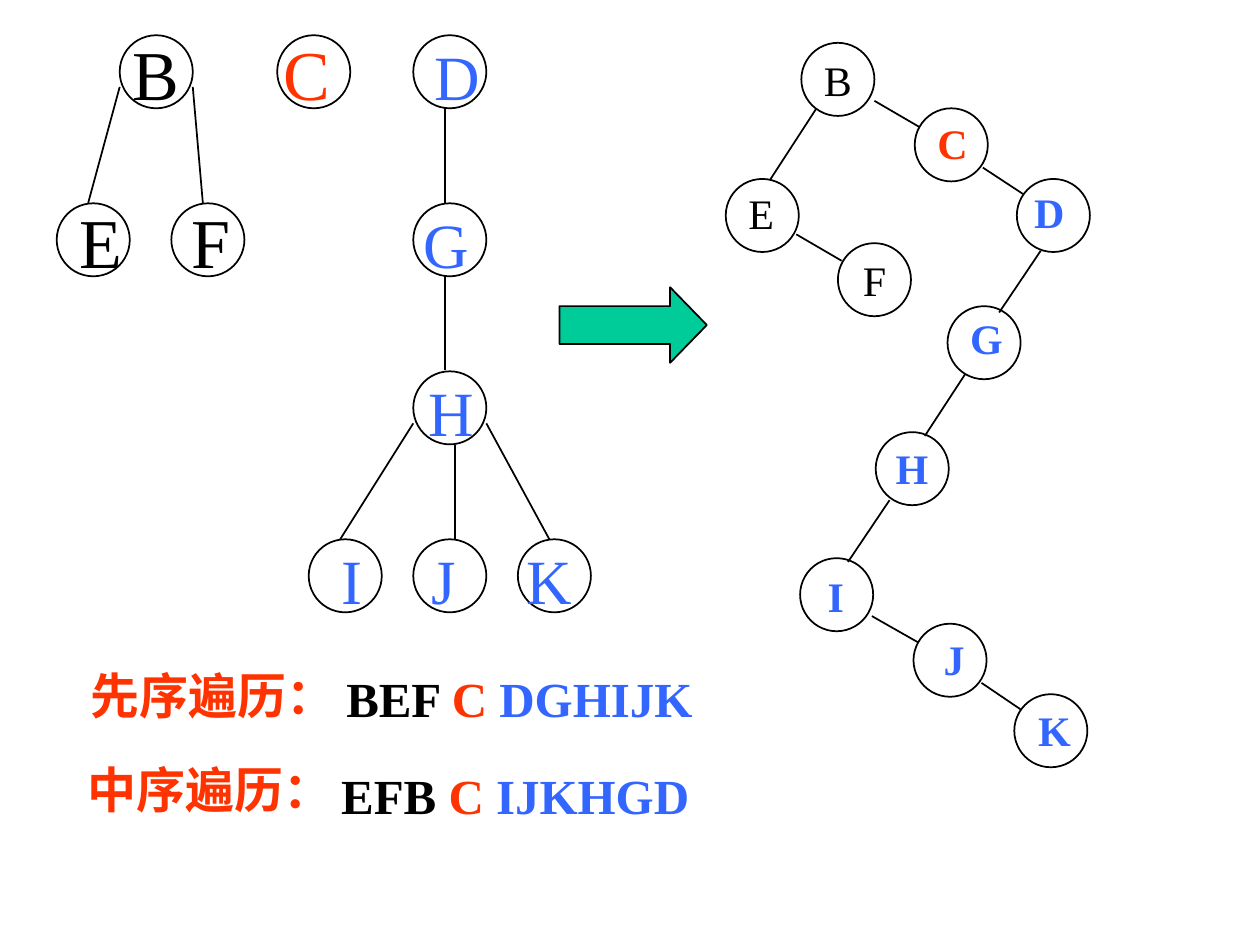
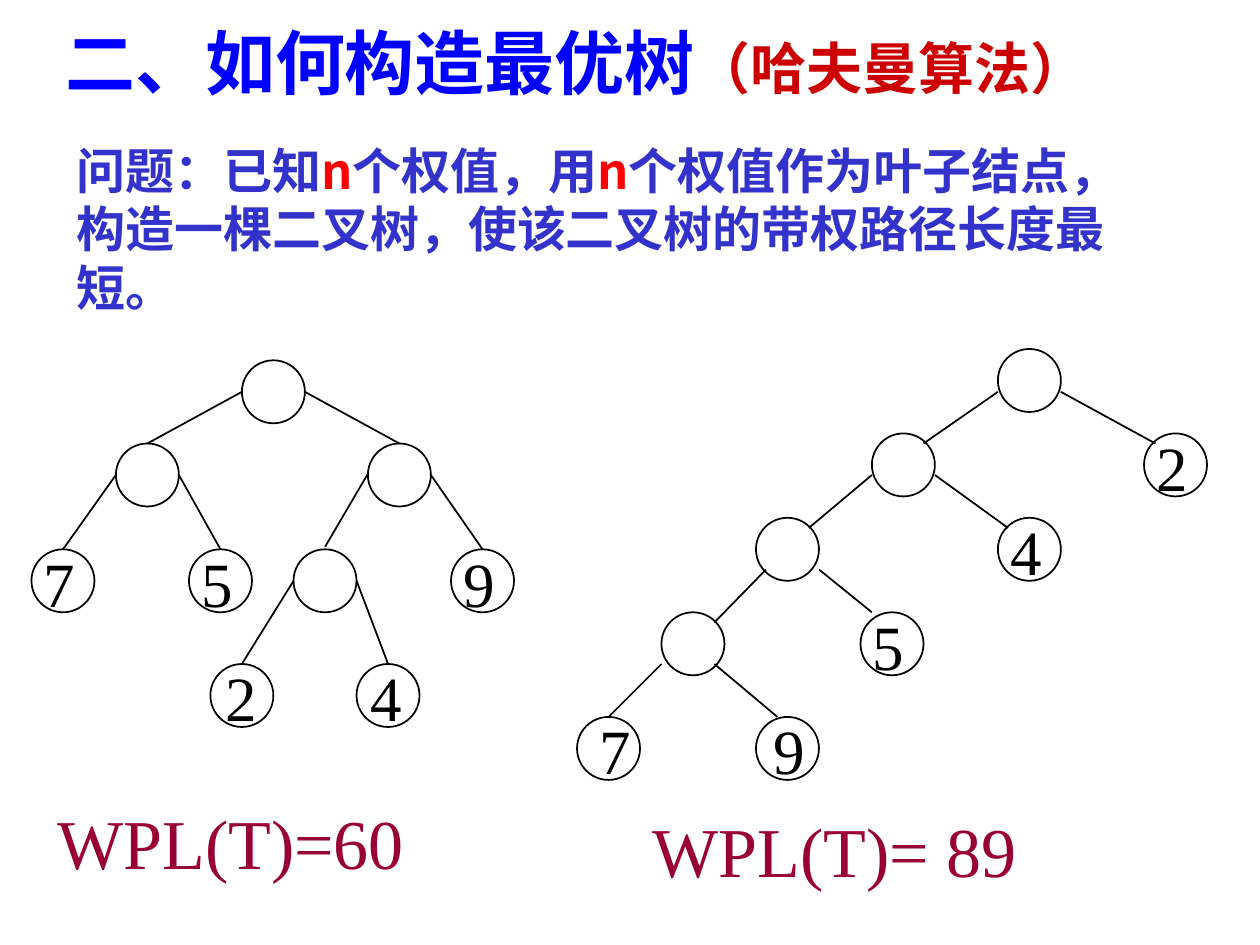
from pptx import Presentation
from pptx.dml.color import RGBColor
from pptx.enum.shapes import MSO_CONNECTOR as CONN, MSO_SHAPE as SHAPE
from pptx.oxml.ns import qn
from pptx.util import Inches, Pt
from lxml.etree import SubElement

LATIN, CJK = "Times New Roman", "Noto Sans CJK SC"
BLACK, RED, BLUE, GREEN = "000000", "FF3300", "3366FF", "00CC99"
TITLE_BLUE, TITLE_RED = "0000FF", "CC0000"
BODY_BLUE, BODY_RED, WINE = "3333CC", "FF0000", "990033"
CJK_LINE = 1.19  # line pitch of Chinese text, in font sizes


def rgb(value):
    return RGBColor.from_string(value)


def add_run(p, text, size=24, color=BLACK, bold=False, font=LATIN):
    r = p.add_run()
    r.text = text
    f = r.font
    f.size, f.bold, f.name = Pt(size), bold, font
    f.color.rgb = rgb(color)
    SubElement(f._element, qn("a:ea"), typeface=CJK)


class Deck:
    def __init__(self):
        self.prs = Presentation()
        self.prs.slide_width, self.prs.slide_height = Inches(10), Inches(7.5)
        self.s = None

    def new_slide(self):
        self.s = self.prs.slides.add_slide(self.prs.slide_layouts[6])

    def shape(self, kind, x, y, w, h, fill=None):
        sp = self.s.shapes.add_shape(kind, Inches(x), Inches(y), Inches(w), Inches(h))
        sp.shadow.inherit = False
        sp.line.color.rgb, sp.line.width = rgb(BLACK), Pt(1)
        if fill:
            sp.fill.solid()
            sp.fill.fore_color.rgb = rgb(fill)
        else:
            sp.fill.background()
        return sp

    def node(self, x, y, size):
        self.shape(SHAPE.OVAL, x, y, size, size)

    def edges(self, ends):
        for end in ends:
            line = self.s.shapes.add_connector(CONN.STRAIGHT, *map(Inches, end))
            line.line.color.rgb, line.line.width = rgb(BLACK), Pt(1)
            SubElement(line._element.spPr, qn("a:effectLst"))

    def text(self, x, y, w, h, runs, line=None, **fmt):
        """Each run is (text, format); fmt applies to all of them."""
        box = self.s.shapes.add_textbox(Inches(x), Inches(y), Inches(w), Inches(h))
        tf = box.text_frame
        tf.word_wrap = True
        p = tf.paragraphs[0]
        if line:
            p.line_spacing = Pt(line)
            p._p.get_or_add_pPr().set("hangingPunct", "0")
        for words, own in runs:
            add_run(p, words, **{**fmt, **own})

    def label(self, x, y, words, **fmt):
        self.text(x, y, 0.65, 0.7, [(words, {})], **fmt)


def letter_color(letter):
    return {"B": BLACK, "E": BLACK, "F": BLACK, "C": RED}.get(letter, BLUE)


def forest_slide(deck):
    deck.new_slide()
    size = 0.58

    # Forest: rows of (letter, node left, letter left)
    rows = [
        [("B", 0.95, 0.95), ("C", 2.2, 2.15), ("D", 3.28, 3.35)],
        [("E", 0.45, 0.53), ("F", 1.36, 1.42), ("G", 3.28, 3.26)],
        [("H", 3.28, 3.3)],
        [("I", 2.45, 2.61), ("J", 3.28, 3.33), ("K", 4.11, 4.08)],
    ]
    for i, row in enumerate(rows):
        top = 0.28 + i * 4 / 3
        for letter, x, letter_x in row:
            color = letter_color(letter)
            pt = 36 if color == BLUE else 40
            deck.node(x, top, size)
            deck.label(letter_x, top + 0.43 - 0.93 * pt / 72, letter, size=pt, color=color)
    deck.edges([
        (0.95, 0.69, 0.7, 1.61), (1.53, 0.69, 1.61, 1.61),
        (3.53, 0.86, 3.53, 1.61), (3.53, 2.19, 3.53, 2.94),
        (3.61, 3.53, 3.61, 4.28), (3.28, 3.36, 2.7, 4.28),
        (3.86, 3.36, 4.36, 4.28),
    ])

    # Binary tree: letter, node corner, letter corner
    for letter, x, y, letter_x, letter_y in [
        ("B", 6.36, 0.34, 6.44, 0.38), ("C", 7.26, 0.86, 7.34, 0.88),
        ("D", 8.07, 1.42, 8.11, 1.43), ("E", 5.76, 1.42, 5.84, 1.44),
        ("F", 6.65, 1.93, 6.75, 1.97), ("G", 7.52, 2.43, 7.6, 2.43),
        ("H", 6.95, 3.43, 7.01, 3.46), ("I", 6.35, 4.43, 6.47, 4.48),
        ("J", 7.25, 4.95, 7.39, 4.98), ("K", 8.05, 5.51, 8.14, 5.54),
    ]:
        color = letter_color(letter)
        deck.node(x, y, size)
        deck.label(letter_x, letter_y, letter, color=color, bold=color != BLACK)
    deck.edges([
        (6.48, 0.86, 6.11, 1.43), (6.32, 1.86, 6.68, 2.07),
        (6.94, 0.8, 7.3, 1.01), (7.8, 1.33, 8.12, 1.54),
        (8.26, 1.99, 7.93, 2.48), (7.66, 2.97, 7.34, 3.46),
        (7.06, 3.97, 6.73, 4.46), (6.92, 4.89, 7.29, 5.1),
        (7.79, 5.42, 8.1, 5.63),
    ])

    # Traversals
    for name, x, y, order_x, order_y, first, last in [
        ("先序遍历：", 0.62, 5.24, 2.65, 5.26, "BEF ", "DGHIJK"),
        ("中序遍历：", 0.6, 5.98, 2.61, 6.03, "EFB ", "IJKHGD"),
    ]:
        deck.text(x, y, 2.4, 0.57, [(name, {})], line=28 * CJK_LINE,
                  size=28, color=RED, bold=True)
        order = [(first, {}), ("C ", {"color": RED}), (last, {"color": BLUE})]
        deck.text(order_x, order_y, 3.5, 0.57, order, size=28, bold=True)

    # Conversion arrow
    arrow = deck.shape(SHAPE.RIGHT_ARROW, 4.44, 2.28, 1.17, 0.6, GREEN)
    arrow.adjustments[1] = 0.486


def huffman_slide(deck):
    deck.new_slide()

    # Title and problem
    deck.text(0.42, 0.11, 9, 1.17, [
        ("二、如何构造最优树", {"color": TITLE_BLUE}),
        ("（哈夫曼算法）", {"size": 32, "color": TITLE_RED}),
    ], line=40 * CJK_LINE, size=40, bold=True)
    n = ("n", {"color": BODY_RED})
    deck.text(0.51, 1.07, 8.82, 1.5, [
        ("问题：已知", {}), n, ("个权值，用", {}), n,
        ("个权值作为叶子结点，构造一棵二叉树，使该二叉树的带权路径长度最短。", {}),
    ], line=28 * CJK_LINE, size=28, color=BODY_BLUE, bold=True, font=CJK)

    # Inner nodes of both trees
    for x, y in [(1.92, 2.86), (0.92, 3.52), (2.92, 3.52), (2.33, 4.36),
                 (7.92, 2.77), (6.92, 3.44), (6, 4.11), (5.25, 4.86)]:
        deck.node(x, y, 0.5)

    # Leaves: weight, node corner, shift of the digit
    for weight, x, y, shift in [
        ("7", 0.25, 4.36, 0), ("5", 1.5, 4.36, 0), ("9", 3.58, 4.36, 0),
        ("2", 1.67, 5.27, 0.02), ("4", 2.83, 5.27, 0.01),
        ("2", 9.08, 3.44, 0), ("4", 7.92, 4.11, 0), ("5", 6.83, 4.86, 0),
        ("7", 4.58, 5.69, 0.08), ("9", 6, 5.69, 0.04),
    ]:
        deck.node(x, y, 0.5)
        deck.label(x + shift, y - 0.09, weight, size=36)

    # Edges of the left tree, then of the right tree
    deck.edges([
        (1.92, 3.11, 1.17, 3.52), (2.42, 3.11, 3.17, 3.52),
        (2.92, 3.76, 2.58, 4.34), (3.42, 3.77, 3.83, 4.36),
        (2.33, 4.61, 1.92, 5.27), (2.83, 4.61, 3.08, 5.27),
        (0.92, 3.77, 0.5, 4.36), (1.42, 3.77, 1.75, 4.36),
        (8.42, 3.11, 9.17, 3.52), (7.92, 3.11, 7.33, 3.52),
        (7.42, 3.77, 8, 4.19), (6.92, 3.77, 6.42, 4.19),
        (5.25, 5.27, 4.83, 5.69), (5.67, 5.27, 6.17, 5.69),
        (6.5, 4.52, 6.92, 4.86), (6.08, 4.52, 5.67, 4.94),
    ])

    # Weighted path lengths
    for x, y, total in [(0.36, 6.3, "WPL(T)=60"), (5.08, 6.36, "WPL(T)= 89")]:
        deck.text(x, y, 3.9, 0.77, [(total, {})], size=40, color=WINE)


def main():
    deck = Deck()
    forest_slide(deck)
    huffman_slide(deck)
    deck.prs.save("out.pptx")


if __name__ == "__main__":
    main()
